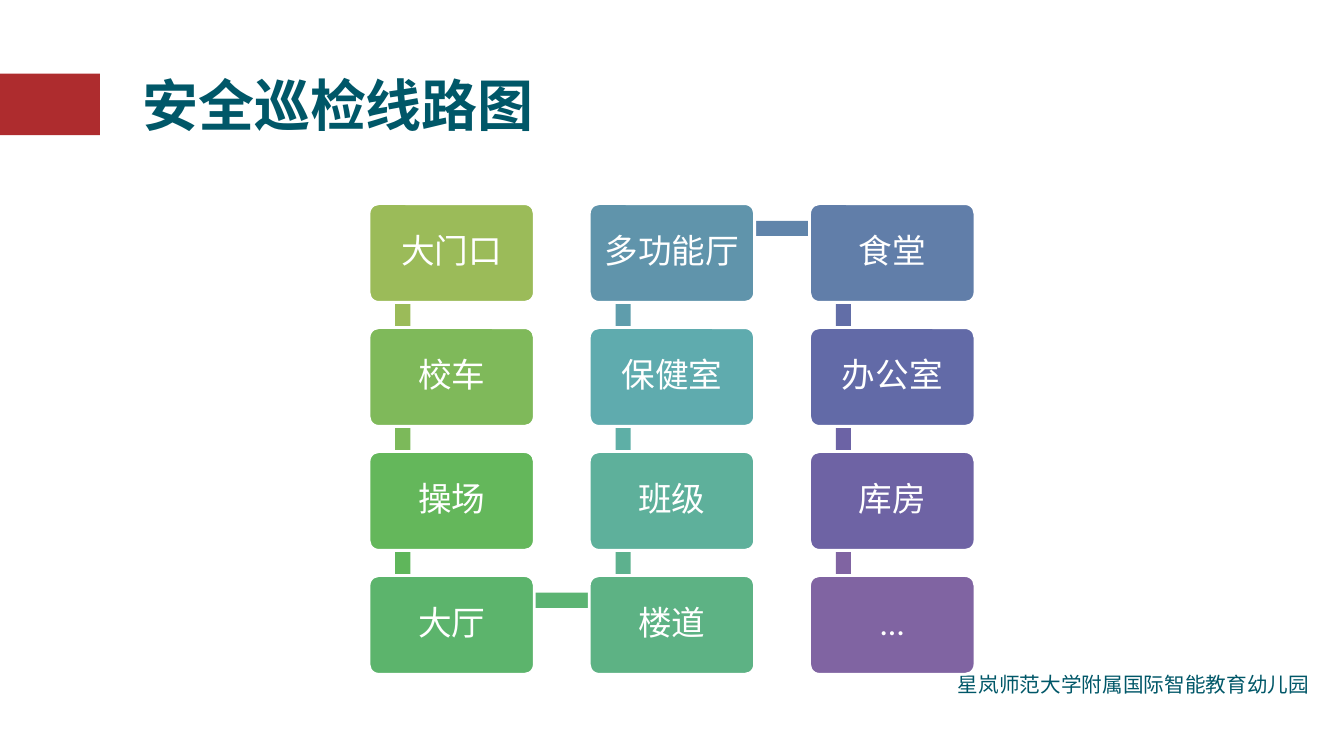
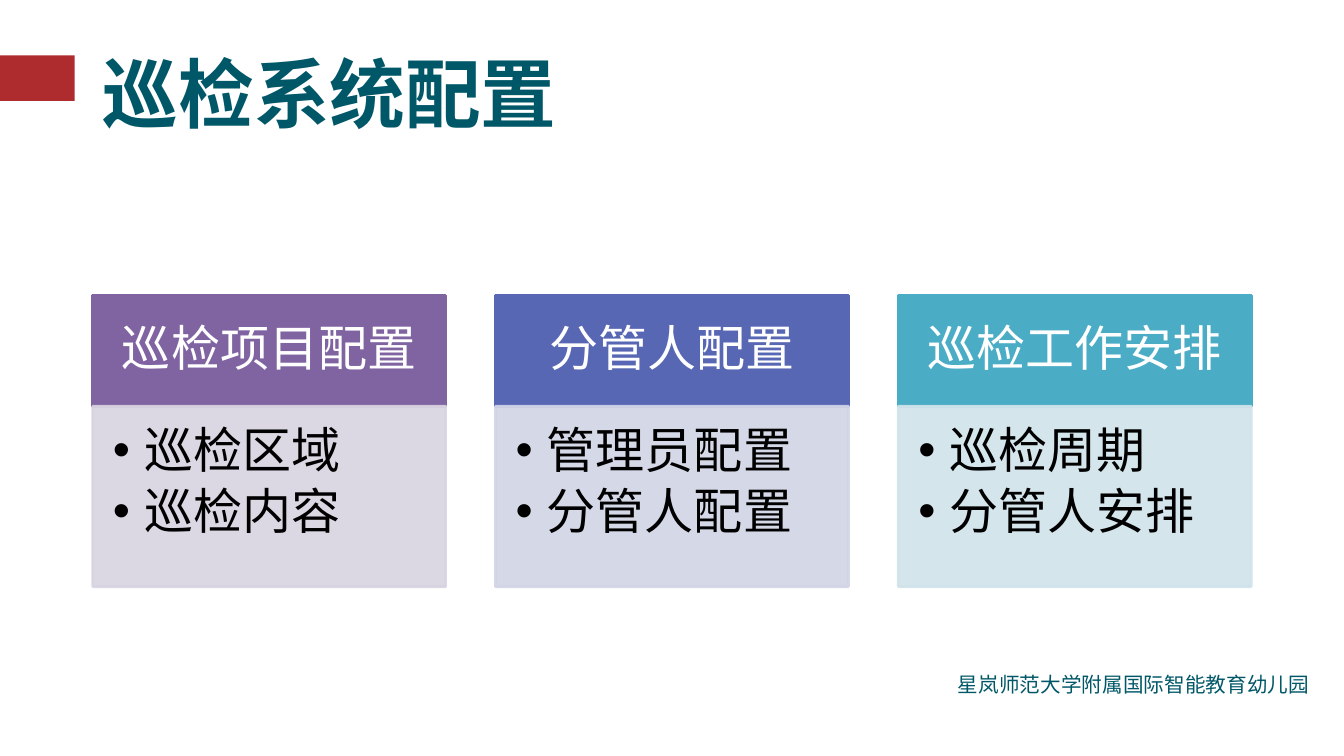
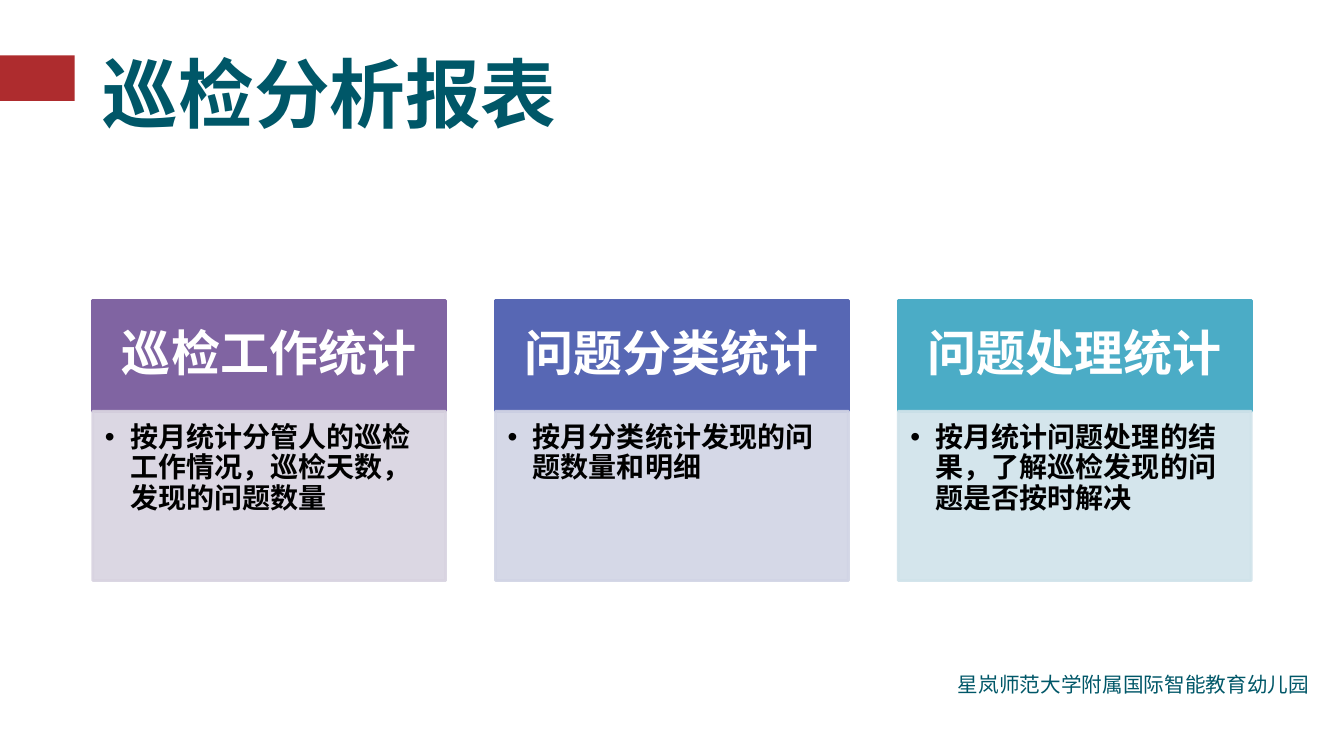
from lxml import etree
from pptx import Presentation, util as u
from pptx.dml import color
from pptx.enum import shapes, text
from pptx.oxml import ns

TEAL, RED, WHITE, BLACK = "005768", "AE2C2E", "FFFFFF", "000000"
LATIN, CJK = "Calibri", "Noto Sans CJK SC"
ORGANISATION = "星岚师范大学附属国际智能教育幼儿园"
INSETS = ("margin_left", "margin_top", "margin_right", "margin_bottom")

ROUTE = [
    ("大门口", "9BBB59", "9BBB59"), ("校车", "7FB95A", "7CB95A"),
    ("操场", "64B75B", "5FB65B"), ("大厅", "5CB46C", "5CB473"),
    ("楼道", "5DB284", "5DB18E"), ("班级", "5EB09B", "5EAFA6"),
    ("保健室", "5FABAE", "5F9DAC"), ("多功能厅", "6094AB", "6084AA"),
    ("食堂", "617EA9", "626EA7"), ("办公室", "626AA7", "6C63A5"),
    ("库房", "6E63A4", "8064A2"), ("…", "8064A2", None),
]
CARD_COLOURS = [("8064A2", "D8D3E0"), ("5767B4", "D1D4E5"), ("4BACC6", "D0E3EA")]
CONFIGURATION = [
    ("巡检项目配置", ["巡检区域", "巡检内容"]),
    ("分管人配置", ["管理员配置", "分管人配置"]),
    ("巡检工作安排", ["巡检周期", "分管人安排"]),
]
REPORTS = [
    ("巡检工作统计", ["按月统计分管人的巡检工作情况，巡检天数，发现的问题数量"]),
    ("问题分类统计", ["按月分类统计发现的问题数量和明细"]),
    ("问题处理统计", ["按月统计问题处理的结果，了解巡检发现的问题是否按时解决"]),
]


def rgb(value):
    """Turn a hex string into a colour."""
    return color.RGBColor.from_string(value)


def assign(target, values):
    """Set each attribute in values on target."""
    for name, value in values.items():
        setattr(target, name, value)


def inches(*lengths):
    """Convert several numbers to lengths."""
    return [u.Inches(length) for length in lengths]


class Deck:
    """Holds the presentation, its shared style and the current slide."""

    def __init__(self):
        """Set the size and prepare the layout."""
        self.file = Presentation()
        assign(self.file, {"slide_width": u.Inches(13.33), "slide_height": u.Inches(7.5)})
        self.layout = self.file.slide_layouts[5]
        self.slide = None
        for holder in list(self.layout.placeholders):
            if holder.placeholder_format.idx:
                self.layout.shapes.element.remove(holder.element)
            else:
                self.place(holder, 0.92, 0.4, 11.5, 1.04)

    def place(self, shape, *box):
        """Move and size a shape."""
        assign(shape, dict(zip(("left", "top", "width", "height"), inches(*box))))

    def set_text(self, frame, lines, size, ink, bold=False, font=LATIN, align="LEFT",
                 anchor="MIDDLE", insets=(0.1, 0.05, 0.1, 0.05), spacing=None):
        """Fill a text frame with formatted paragraphs."""
        assign(frame, {"text": "\n".join(lines), "word_wrap": True,
                       "auto_size": text.MSO_AUTO_SIZE.NONE,
                       "vertical_anchor": getattr(text.MSO_ANCHOR, anchor)})
        assign(frame, dict(zip(INSETS, inches(*insets))))
        for paragraph in frame.paragraphs:
            assign(paragraph, {"alignment": getattr(text.PP_ALIGN, align),
                               "line_spacing": spacing})
            for run in paragraph.runs:
                assign(run.font, {"size": u.Pt(size), "bold": bold, "name": font})
                run.font.color.rgb = rgb(ink)
                if font == CJK:
                    etree.SubElement(run._r.get_or_add_rPr(), ns.qn("a:ea"), typeface=font)

    def block(self, box, fill, line=None, rounded=False, opacity=None):
        """Add a flat rectangle, optionally rounded or translucent."""
        kind = shapes.MSO_SHAPE.ROUNDED_RECTANGLE if rounded else shapes.MSO_SHAPE.RECTANGLE
        shape = self.slide.shapes.add_shape(kind, *inches(*box))
        shape.shadow.inherit = False
        shape.fill.solid()
        shape.fill.fore_color.rgb = rgb(fill)
        if line:
            shape.line.color.rgb = rgb(line)
            shape.line.width = u.Pt(2)
        else:
            shape.line.fill.background()
        if rounded:
            shape.adjustments[0] = 0.1
        if opacity:
            for tint in shape.element.spPr.iter(ns.qn("a:srgbClr")):
                etree.SubElement(tint, ns.qn("a:alpha"), val=str(opacity * 1000))
        return shape

    def footer(self):
        """Put the organisation name on the shared layout."""
        name = self.slide.shapes.add_textbox(*inches(9.4, 6.62, 3.69, 0.35))
        self.set_text(name.text_frame, [ORGANISATION], 14.7, TEAL, font=CJK, anchor="TOP")
        assign(name.text_frame, {"word_wrap": False,
                                 "auto_size": text.MSO_AUTO_SIZE.SHAPE_TO_FIT_TEXT})
        self.layout.shapes.element.append(name.element)

    def start(self, heading, size=54, tab=(0, 0.55, 0.74, 0.45), box=None,
              insets=(0.1, 0.05, 0.1, 0.05)):
        """Begin a slide with its title and red tab."""
        first = self.slide is None
        self.slide = self.file.slides.add_slide(self.layout)
        if first:
            self.footer()
        title = self.slide.shapes.title
        if box:
            self.place(title, *box)
        self.set_text(title.text_frame, [heading], size, TEAL, True, CJK, insets=insets)
        self.block(tab, RED)

    def route(self, stops, rows=4):
        """Draw stops in columns that run down, up and down again."""
        left, top, across, down = 3.66, 2.02, 4.37 / 2, 1.23

        def spot(index):
            """Give the left and top of a stop."""
            column, step = divmod(index, rows)
            row = rows - 1 - step if column % 2 else step
            return left + column * across, top + row * down

        for index, (stop, fill, link) in enumerate(stops):
            x, y = spot(index)
            if link:
                next_x, next_y = spot(index + 1)
                if next_x > x:
                    self.block((x + 0.34, y + 0.17, across, 0.15), link)
                else:
                    self.block((x + 0.26, min(y, next_y) + 0.24, 0.15, down), link)
            station = self.block((x, y, 1.64, 0.98), fill, WHITE, rounded=True)
            self.set_text(station.text_frame, [stop], 24, WHITE, align="CENTER",
                          insets=(0.1,) * 4, spacing=0.9)

    def cards(self, topics, top, height, size, insets, indent, bold=False):
        """Draw three headed cards with bulleted points."""
        for index, (heading, points) in enumerate(topics):
            strong, pale = CARD_COLOURS[index]
            left = 0.92 + index * 7.99 / 2
            head = self.block((left, top, 3.5, 1.1), strong, strong)
            self.set_text(head.text_frame, [heading], 35, WHITE, bold, align="CENTER",
                          insets=(0.27, 0.16, 0.27, 0.16), spacing=0.9)
            body = self.block((left, top + 1.1, 3.5, height), pale, pale, opacity=90)
            self.set_text(body.text_frame, points, size, BLACK, bold, anchor="TOP",
                          insets=insets, spacing=0.9)
            for point in body.text_frame.paragraphs:
                self.bullet(point, indent, size * 0.15)

    def bullet(self, point, indent, gap):
        """Give a paragraph a hanging bullet and a gap after it."""
        assign(point, {"level": 1, "space_after": u.Pt(gap)})
        style = point._p.get_or_add_pPr()
        style.set("marL", str(u.Inches(indent)))
        style.set("indent", str(-u.Inches(indent)))
        etree.SubElement(style, ns.qn("a:buFont"), typeface="Arial")
        etree.SubElement(style, ns.qn("a:buChar"), char="•")


deck = Deck()
deck.start("安全巡检线路图", 40, tab=(0, 0.73, 0.99, 0.61), box=(1.28, 0.41, 6.13, 1.25),
           insets=(0.13, 0.07, 0.13, 0.07))
deck.route(ROUTE)
deck.start("巡检系统配置")
deck.cards(CONFIGURATION, 2.93, 1.79, 35, (0.2, 0.2, 0.27, 0.31), 0.31)
deck.start("巡检分析报表")
deck.cards(REPORTS, 2.98, 1.68, 20, (0.12, 0.12, 0.16, 0.17), 0.25, bold=True)
deck.file.save("out.pptx")
